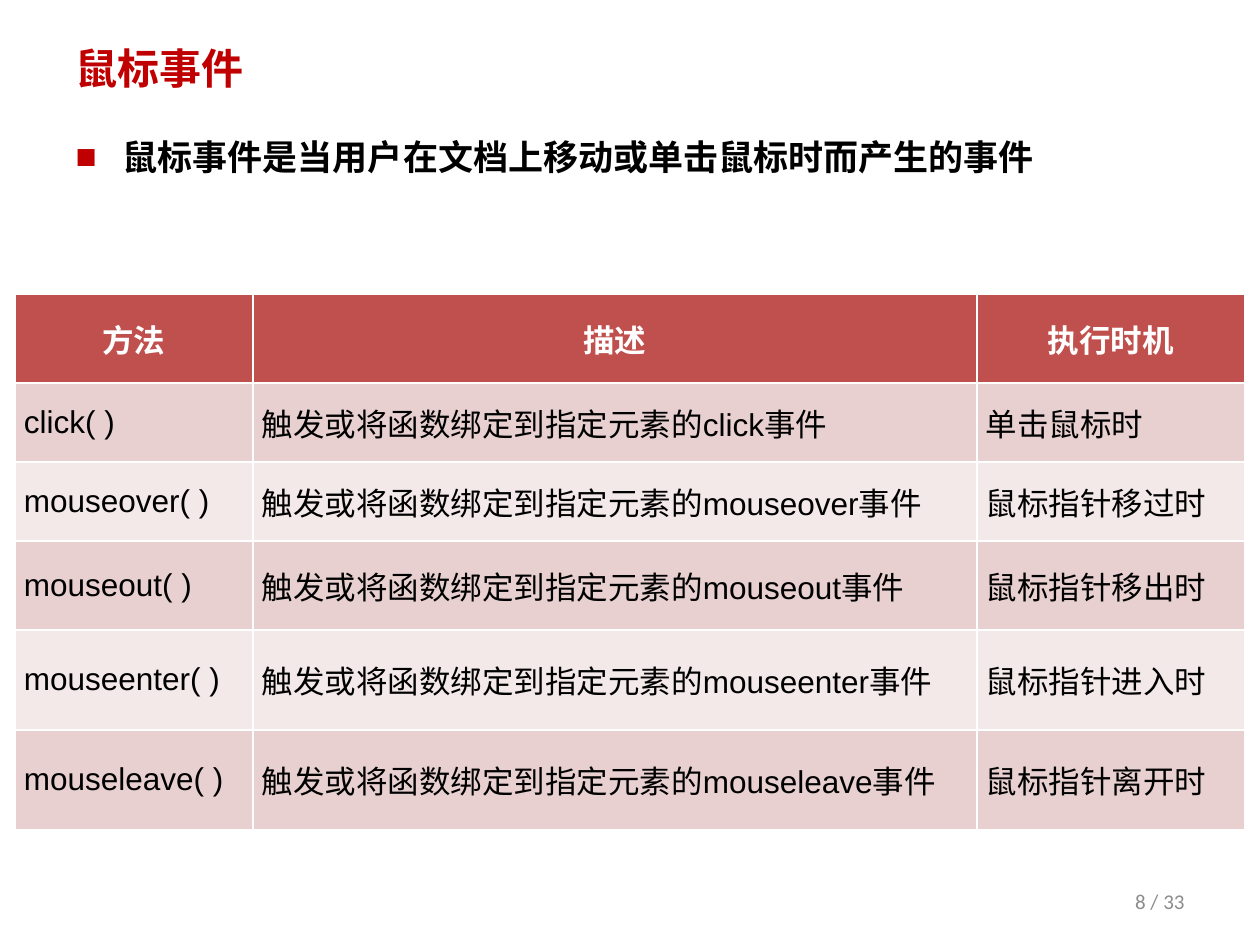
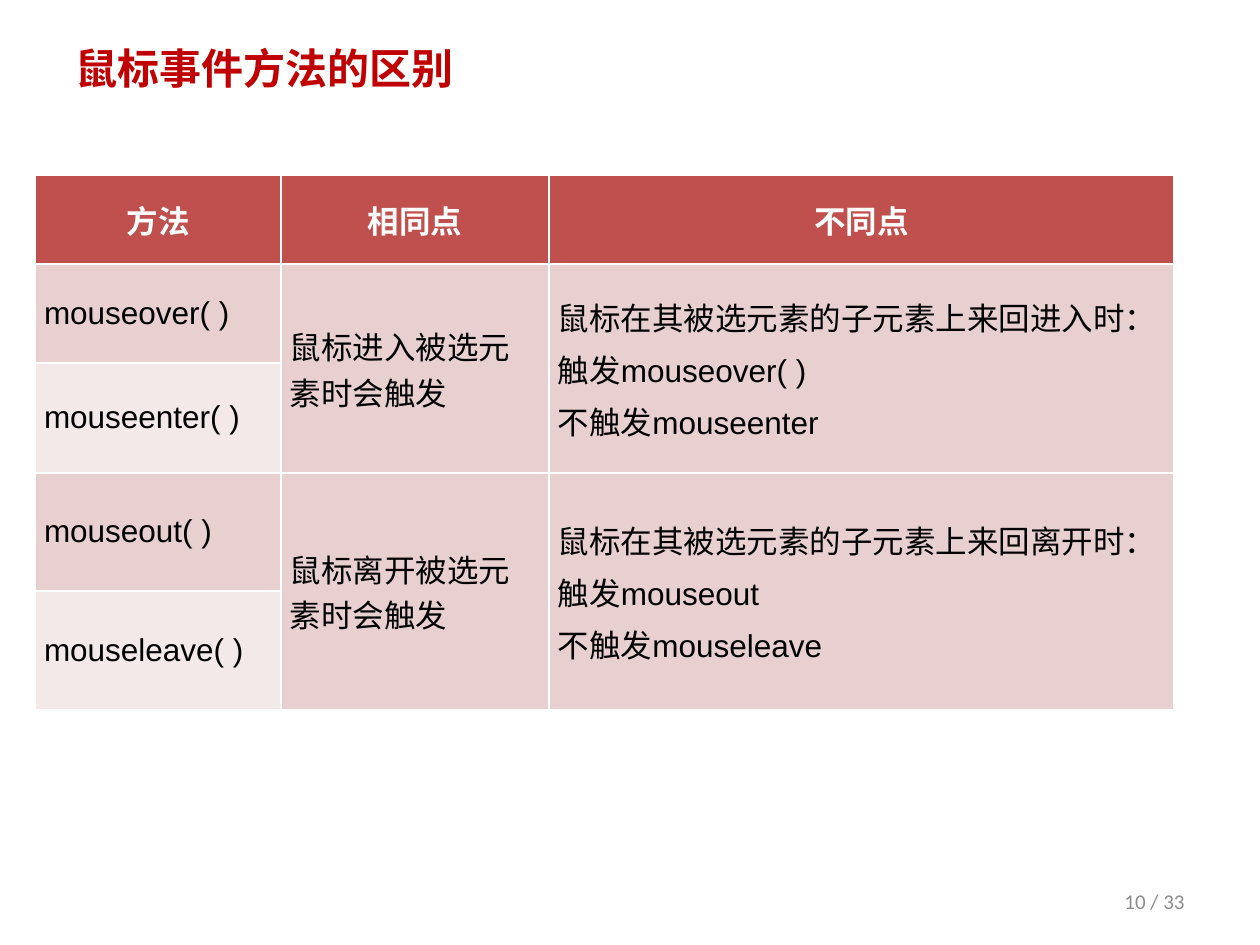
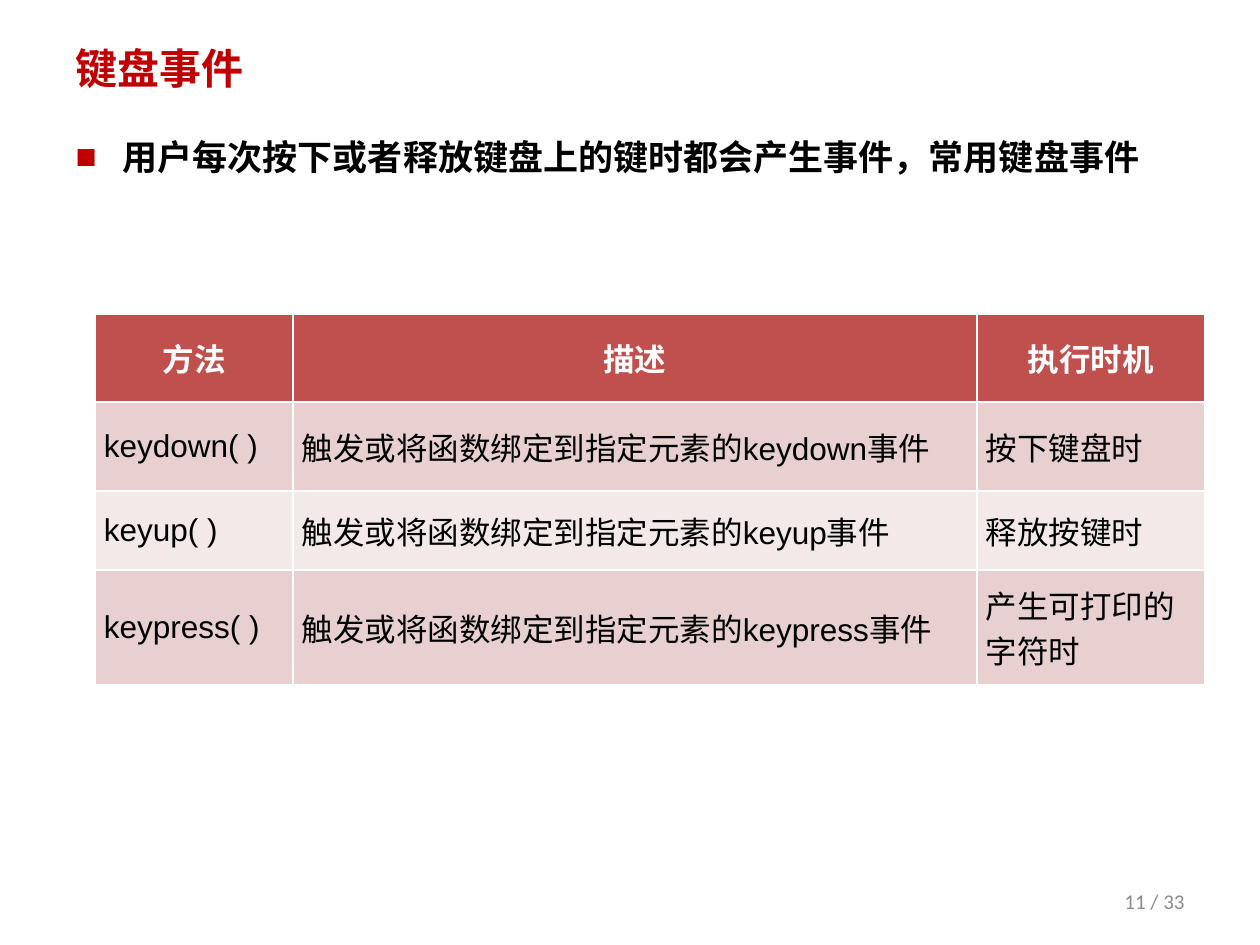
"""Build three slides on mouse and keyboard event methods."""
import pptx
import pptx.dml.color
import pptx.enum.text
import pptx.oxml
import pptx.oxml.ns
import pptx.util

RGBColor = pptx.dml.color.RGBColor
ALIGN = pptx.enum.text.PP_ALIGN
MIDDLE = pptx.enum.text.MSO_ANCHOR.MIDDLE

RED = RGBColor(0xC0, 0x00, 0x00)
HEAD = RGBColor(0xC0, 0x50, 0x4D)
BANDS = (RGBColor(0xE8, 0xD0, 0xD0), RGBColor(0xF4, 0xE9, 0xE9))
BLACK = RGBColor(0x00, 0x00, 0x00)
WHITE = RGBColor(0xFF, 0xFF, 0xFF)
GREY = RGBColor(0x8C, 0x8C, 0x8C)

HAN = "Noto Sans CJK SC"
TOTAL = 33
SCALE = 914400 / 126

TITLE = (63, 38, 1134, 60)
BODY = (63, 129, 1134, 716)
FOOT = (903, 876, 294, 50)


def events(pairs):
    return [("方法", "描述", "执行时机")] + [
        (f"{name}( )", f"触发或将函数绑定到指定元素的{name}事件", when)
        for name, when in pairs
    ]


def contrast(groups):
    rows = [("方法", "相同点", "不同点")]
    for verb, first, call, second in groups:
        rows.append((
            f"{first}( )",
            f"鼠标{verb}被选元素时会触发",
            f"鼠标在其被选元素的子元素上来回{verb}时：\n触发{call}\n不触发{second}",
        ))
        rows.append((f"{second}( )", None, None))
    return rows


SLIDES = [
    {
        "page": 8,
        "title": "鼠标事件",
        "point": "鼠标事件是当用户在文档上移动或单击鼠标时而产生的事件",
        "place": (15, 294),
        "cols": (238, 724, 268),
        "heights": (89, 79, 79, 89, 100, 100),
        "rows": events([
            ("click", "单击鼠标时"),
            ("mouseover", "鼠标指针移过时"),
            ("mouseout", "鼠标指针移出时"),
            ("mouseenter", "鼠标指针进入时"),
            ("mouseleave", "鼠标指针离开时"),
        ]),
    },
    {
        "page": 10,
        "title": "鼠标事件方法的区别",
        "point": None,
        "place": (35, 175),
        "cols": (246, 268, 625),
        "heights": (89, 99, 110, 118, 119),
        "rows": contrast([
            ("进入", "mouseover", "mouseover( )", "mouseenter"),
            ("离开", "mouseout", "mouseout", "mouseleave"),
        ]),
    },
    {
        "page": 11,
        "title": "键盘事件",
        "point": "用户每次按下或者释放键盘上的键时都会产生事件，常用键盘事件",
        "place": (95, 314),
        "cols": (198, 684, 228),
        "heights": (88, 89, 79, 115),
        "rows": events([
            ("keydown", "按下键盘时"),
            ("keyup", "释放按键时"),
            ("keypress", "产生可打印的字符时"),
        ]),
    },
]


def px(size):
    return pptx.util.Emu(round(size * SCALE))


def style(para, size, face, color, bold=False, align=ALIGN.LEFT, gap=0):
    para.alignment = align
    para.space_before = pptx.util.Pt(gap)
    font = para.font
    font.size = pptx.util.Pt(size)
    font.name = face
    font.bold = bold
    font.color.rgb = color
    props = para._p.get_or_add_pPr().find(pptx.oxml.ns.qn("a:defRPr"))
    east = pptx.oxml.parse_xml(
        f'<a:ea {pptx.oxml.ns.nsdecls("a")} typeface="{HAN}"/>')
    props.find(pptx.oxml.ns.qn("a:latin")).addnext(east)


def move(shape, box):
    shape.left, shape.top, shape.width, shape.height = map(px, box)


def add_title(slide, text):
    shape = slide.shapes.title
    move(shape, TITLE)
    frame = shape.text_frame
    frame.text = text
    frame.vertical_anchor = MIDDLE
    frame.auto_size = pptx.enum.text.MSO_AUTO_SIZE.NONE
    style(frame.paragraphs[0], 24, HAN, RED, True)


def add_point(slide, text):
    shape = slide.placeholders[1]
    move(shape, BODY)
    frame = shape.text_frame
    frame.text = text
    frame.auto_size = pptx.enum.text.MSO_AUTO_SIZE.NONE
    para = frame.paragraphs[0]
    style(para, 20, HAN, BLACK, True, gap=4)
    props = para._p.get_or_add_pPr()
    props.set("marL", str(px(47)))
    props.set("indent", str(px(-47)))
    last = props.find(pptx.oxml.ns.qn("a:defRPr"))
    for mark in (
        f'<a:buClr {{}}><a:srgbClr val="{RED}"/></a:buClr>',
        '<a:buFont {} typeface="Arial"/>',
        '<a:buChar {} char="■"/>',
    ):
        last.addprevious(
            pptx.oxml.parse_xml(mark.format(pptx.oxml.ns.nsdecls("a"))))


def fill_cell(cell, text, row):
    cell.fill.solid()
    cell.fill.fore_color.rgb = BANDS[(row - 1) % 2] if row else HEAD
    cell.vertical_anchor = MIDDLE
    cell.margin_left = cell.margin_right = px(9)
    cell.margin_top = cell.margin_bottom = 0
    cell.text = text
    for para in cell.text_frame.paragraphs:
        style(para, 18, "Arial", BLACK if row else WHITE, not row,
              ALIGN.LEFT if row else ALIGN.CENTER, 3.6)


def add_grid(slide, page):
    rows, cols, highs = page["rows"], page["cols"], page["heights"]
    box = (*page["place"], sum(cols), sum(highs))
    table = slide.shapes.add_table(len(rows), len(cols), *map(px, box)).table
    for col, width in zip(table.columns, cols):
        col.width = px(width)
    for line, high in zip(table.rows, highs):
        line.height = px(high)
    for r, row in enumerate(rows):
        for c, text in enumerate(row):
            if text is None:
                table.cell(r - 1, c).merge(table.cell(r, c))
            else:
                fill_cell(table.cell(r, c), text, r)


def add_foot(slide, page):
    frame = slide.shapes.add_textbox(*map(px, FOOT)).text_frame
    frame.word_wrap = True
    frame.vertical_anchor = MIDDLE
    frame.text = f"{page} / {TOTAL}"
    style(frame.paragraphs[0], 12, "Calibri", GREY, align=ALIGN.RIGHT)


def main():
    deck = pptx.Presentation()
    deck.slide_width, deck.slide_height = px(1260), px(945)
    for page in SLIDES:
        layout = deck.slide_layouts[1 if page["point"] else 5]
        slide = deck.slides.add_slide(layout)
        add_title(slide, page["title"])
        if page["point"]:
            add_point(slide, page["point"])
        add_grid(slide, page)
        add_foot(slide, page["page"])
    deck.save("out.pptx")


if __name__ == "__main__":
    main()
